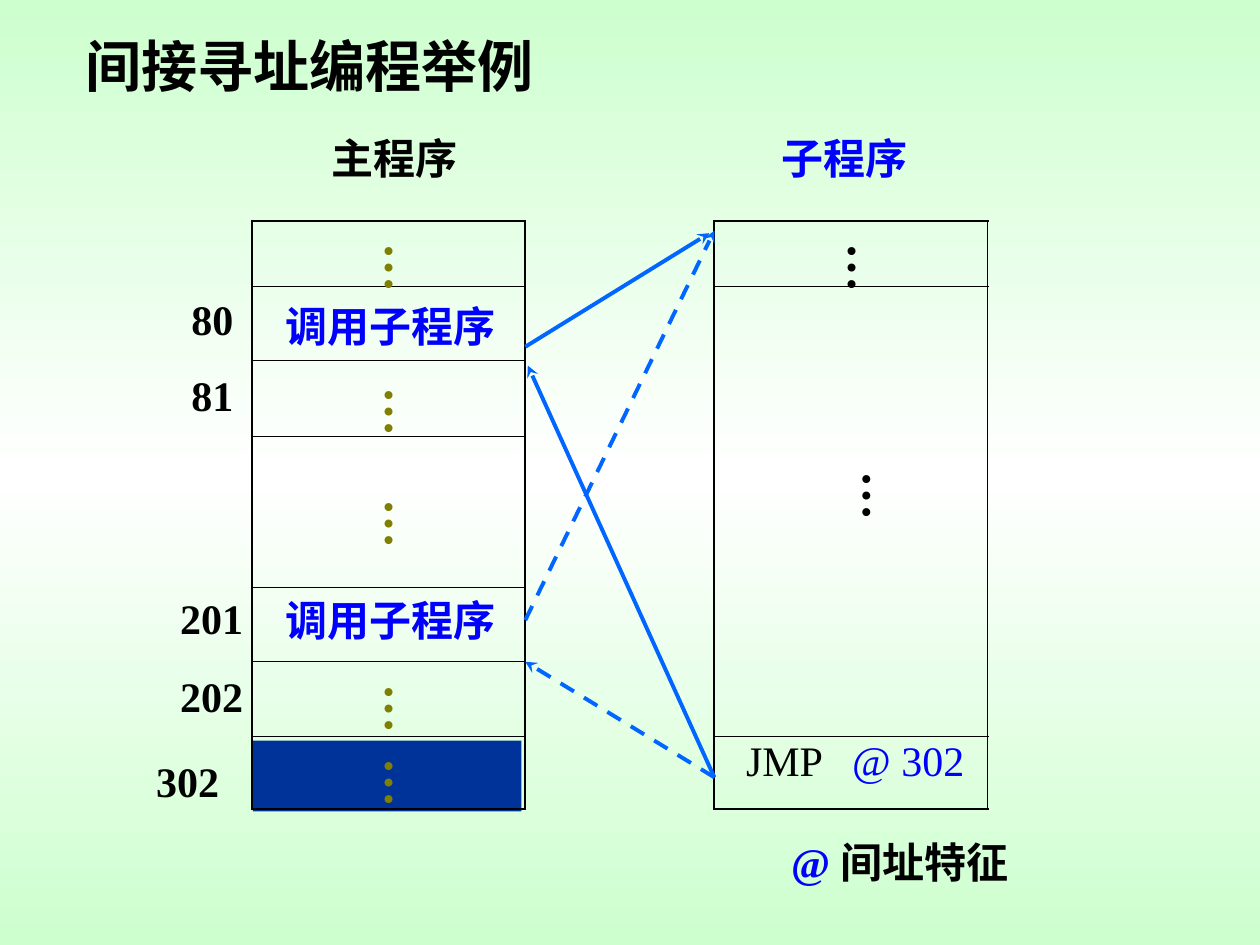
from copy import deepcopy
from dataclasses import dataclass

from lxml import etree
from pptx import Presentation, util as u
from pptx.dml.color import RGBColor
from pptx.enum import dml, shapes, text
from pptx.oxml import ns


@dataclass(frozen=True)
class Theme:
    font: str = "Times New Roman"
    black: str = "000000"
    blue: str = "0000FF"
    olive: str = "808000"
    navy: str = "003399"
    arrow: str = "0066FF"
    mint: str = "CDFFCE"
    white: str = "FFFFFF"
    title: int = 32
    body: int = 24
    dots: int = 28
    outer: float = 1.08
    inner: float = 0.45
    arrow_width: float = 2.25


def apply(target, values):
    for name, value in values.items():
        setattr(target, name, value)


class Diagram:
    def __init__(self, page, theme):
        self.page = page
        self.theme = theme

    def background(self):
        fill = self.page.background.fill
        fill.gradient()
        fill.gradient_angle = 90
        stops = next(self.page.element.iter(ns.qn("a:gsLst")))
        stops.insert(1, deepcopy(stops[0]))
        colours = (self.theme.mint, self.theme.white, self.theme.mint)
        for stop, position, colour in zip(fill.gradient_stops, (0, 0.5, 1), colours):
            stop.position = position
            stop.color.rgb = RGBColor.from_string(colour)

    def block(self, left, top, width, height, colour):
        block = self.page.shapes.add_shape(
            shapes.MSO_SHAPE.RECTANGLE, *map(u.Cm, (left, top, width, height)))
        block.shadow.inherit = False
        block.fill.solid()
        block.fill.fore_color.rgb = RGBColor.from_string(colour)
        block.line.fill.background()

    def label(self, left, top, width, spans, size=None, height=1.27,
              bold=True, align=text.PP_ALIGN.LEFT, insets=(0.25, 0.13), indent=None):
        size = size or self.theme.body
        box = self.page.shapes.add_textbox(*map(u.Cm, (left, top, width, height)))
        side, edge = map(u.Cm, insets)
        apply(box.text_frame, {
            "word_wrap": True,
            "auto_size": text.MSO_AUTO_SIZE.SHAPE_TO_FIT_TEXT,
            "margin_left": side if indent is None else u.Cm(indent),
            "margin_right": side,
            "margin_top": edge,
            "margin_bottom": edge,
        })
        para = box.text_frame.paragraphs[0]
        apply(para, {"alignment": align, "space_before": u.Pt(size * 0.625)})
        for words, colour in spans:
            span = para.add_run()
            span.text = words
            apply(span.font, {"name": self.theme.font, "size": u.Pt(size), "bold": bold})
            span.font.color.rgb = RGBColor.from_string(colour)
        return box

    def dots(self, left, top, colour):
        box = self.label(left, top, 1.68, [("…", colour)],
                         size=self.theme.dots, insets=(0.13, 0.25))
        box.element.txBody.bodyPr.set("vert", "eaVert")

    def border(self, cell, index, side, width):
        line = etree.Element(ns.qn(f"a:ln{side}"), w=str(int(u.Pt(width))))
        fill = etree.SubElement(line, ns.qn("a:solidFill"))
        etree.SubElement(fill, ns.qn("a:srgbClr"), val=self.theme.black)
        cell.get_or_add_tcPr().insert(index, line)

    def memory(self, left, top, width, rows):
        table = self.page.shapes.add_table(
            len(rows), 1, *map(u.Cm, (left, top, width, sum(rows)))).table
        apply(table, {"first_row": False, "horz_banding": False})
        outer, inner = self.theme.outer, self.theme.inner
        for number, height in enumerate(rows):
            table.rows[number].height = u.Cm(height)
            cell = table.cell(number, 0)
            cell.fill.background()
            widths = {
                "L": outer,
                "R": outer,
                "T": outer if number == 0 else inner,
                "B": outer if number == len(rows) - 1 else inner,
            }
            for index, (side, weight) in enumerate(widths.items()):
                self.border(cell._tc, index, side, weight)

    def arrow(self, start, end, dashed=False):
        arrow = self.page.shapes.add_connector(
            shapes.MSO_CONNECTOR.STRAIGHT, *map(u.Cm, (*start, *end)))
        arrow.line.width = u.Pt(self.theme.arrow_width)
        arrow.line.color.rgb = RGBColor.from_string(self.theme.arrow)
        if dashed:
            arrow.line.dash_style = dml.MSO_LINE.DASH
        properties = arrow.element.spPr
        etree.SubElement(properties.find(ns.qn("a:ln")), ns.qn("a:tailEnd"), type="stealth")
        etree.SubElement(properties, ns.qn("a:effectLst"))


def main():
    theme = Theme()
    deck = Presentation()
    apply(deck, {"slide_width": u.Cm(25.4), "slide_height": u.Cm(19.05)})
    diagram = Diagram(deck.slides.add_slide(deck.slide_layouts[6]), theme)
    diagram.background()

    main_left, sub_left, top, width = 5.08, 14.4, 4.45, 5.51
    main_right = main_left + width
    first, jump = 1.32, 1.47
    middle = [1.5, 1.52, 3.05, 1.5, 1.5]
    diagram.block(5.1, 14.93, 5.41, 1.43, theme.navy)
    diagram.memory(main_left, top, width, [first, *middle, jump])
    diagram.memory(sub_left, top, width, [first, sum(middle), jump])

    jump_point = (sub_left, 15.67)
    diagram.arrow((main_right, 6.99), (14.3, 4.7))
    diagram.arrow(jump_point, (10.64, 7.37))
    diagram.arrow((main_right, 12.5), (sub_left, 4.65), dashed=True)
    diagram.arrow(jump_point, (main_right, 13.34), dashed=True)

    diagram.label(1.47, 0.51, 12.27, [("间接寻址编程举例", theme.black)],
                  size=theme.title, height=1.63)
    for left, words, colour in ((5.72, "主程序", theme.black), (14.81, "子程序", theme.blue)):
        diagram.label(left, 2.54, 4.45, [(words, colour)], align=text.PP_ALIGN.CENTER)

    addresses = (("80", 3.61, 5.79), ("81", 3.61, 7.32), ("201", 3.38, 11.81),
                 ("202", 3.38, 13.39), ("302", 2.9, 15.11))
    for address, left, label_top in addresses:
        diagram.label(left, label_top, 2.11, [(address, theme.black)])
    for call_top in (5.92, 11.86):
        diagram.label(5.51, call_top, 4.88, [("调用子程序", theme.blue)])

    for dots_top in (4.65, 7.57, 9.83, 13.54, 15.04):
        diagram.dots(7.21, dots_top, theme.olive)
    for left, dots_top in ((16.54, 4.65), (16.84, 9.25)):
        diagram.dots(left, dots_top, theme.black)

    for left, words, colour in ((15.04, "JMP", theme.black), (17.18, "@ 302", theme.blue)):
        diagram.label(left, 14.68, 3.1, [(words, colour)], bold=False, indent=0)
    diagram.label(15.7, 16.74, 5.72, [("@ ", theme.blue), ("间址特征", theme.black)])

    deck.save("out.pptx")


if __name__ == "__main__":
    main()
